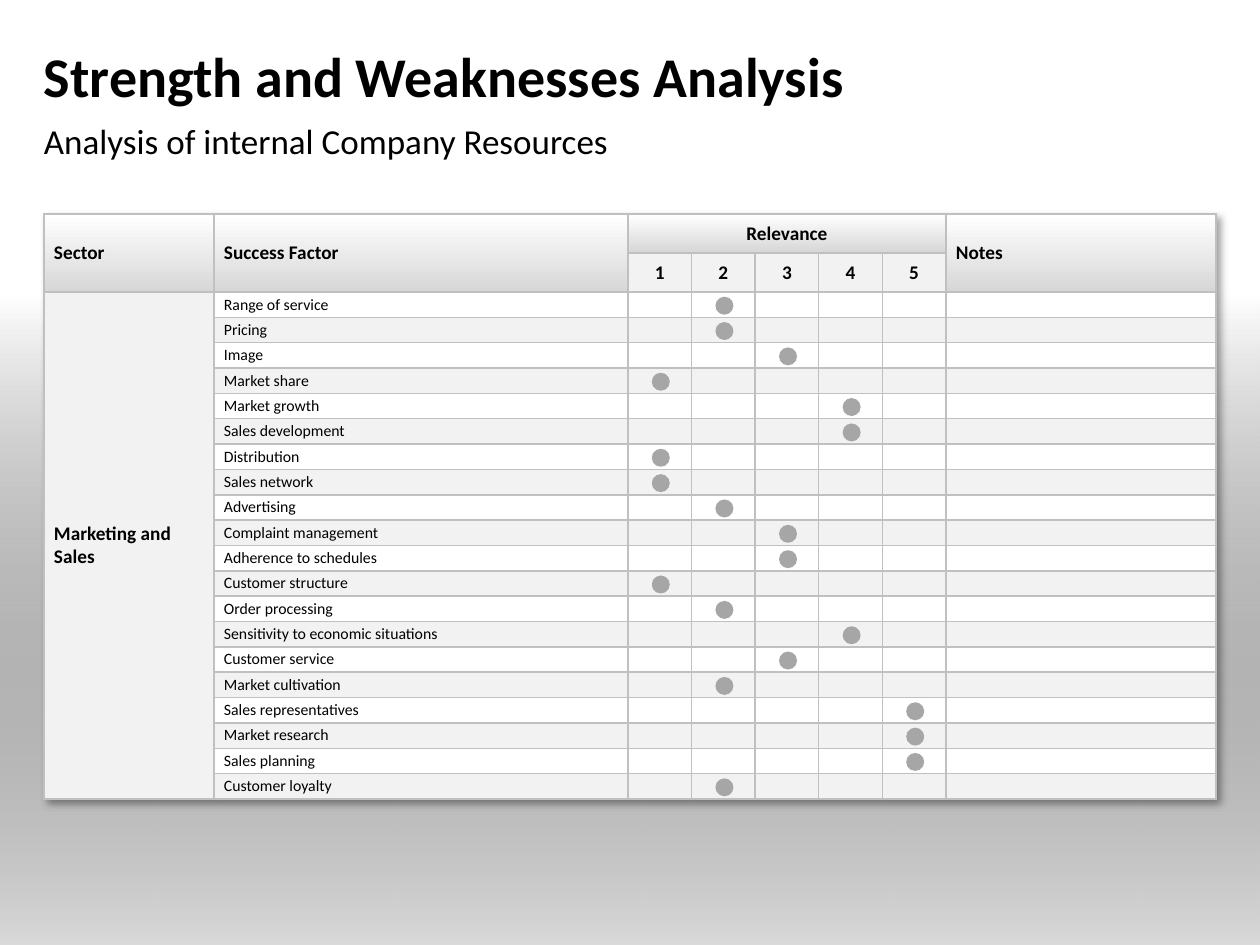
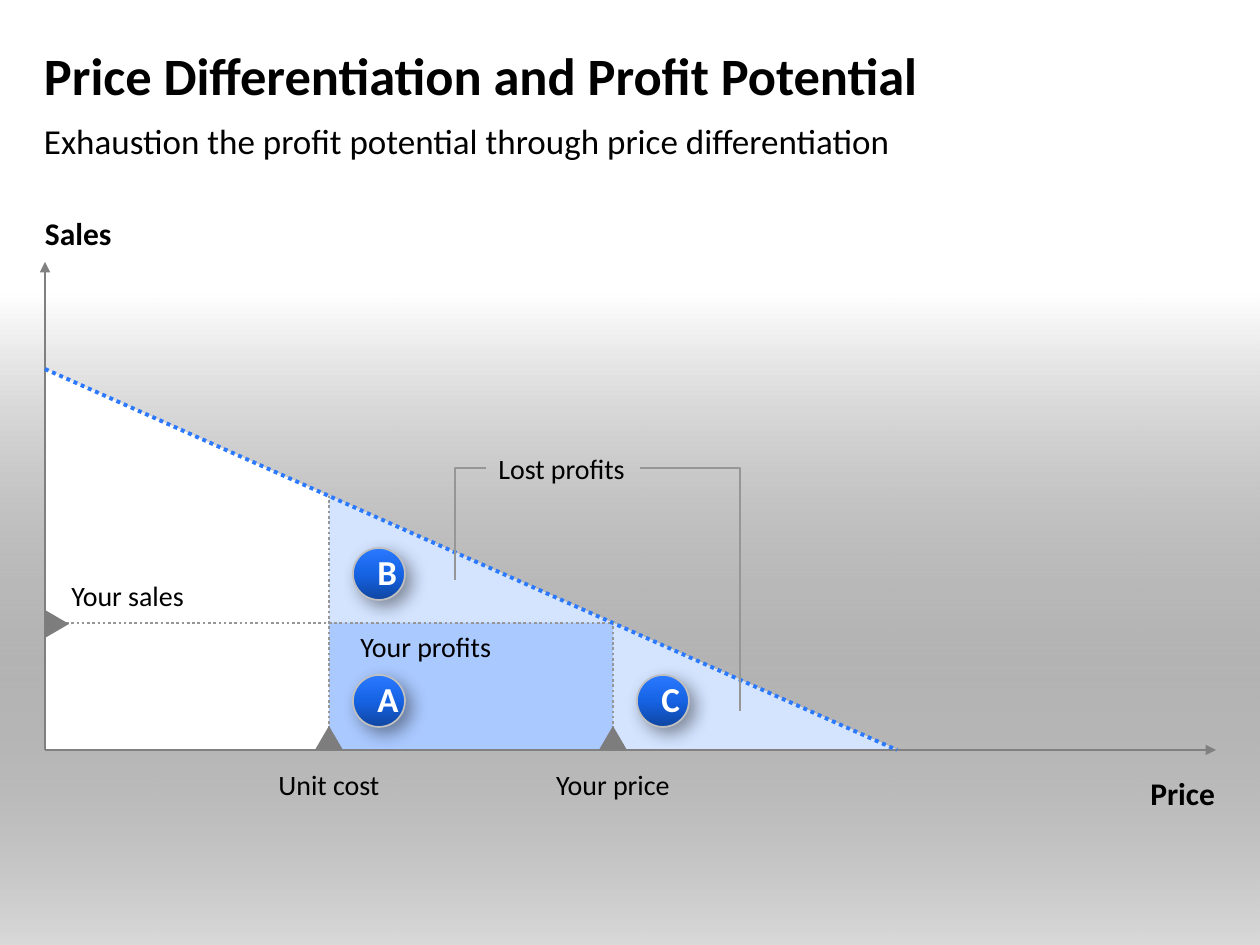
from dataclasses import dataclass

from lxml.etree import SubElement
from pptx import Presentation
from pptx.dml.color import RGBColor
from pptx.enum.dml import MSO_LINE
from pptx.enum.shapes import MSO_CONNECTOR as Link, MSO_SHAPE as Kind
from pptx.enum.text import MSO_ANCHOR as Anchor, PP_ALIGN as Align
from pptx.oxml.ns import qn
from pptx.util import Emu, Pt


@dataclass(frozen=True)
class Theme:
    font: str = "Calibri"
    ink: str = "000000"
    white: str = "FFFFFF"
    pale: str = "F2F2F2"
    shade: str = "D7D7D7"
    edge: str = "C0C0C0"
    dot: str = "A6A6A6"
    axis: str = "808080"
    guide: str = "969696"
    mark: str = "7D7D7D"
    blue: str = "2A79FF"
    royal: str = "1663E4"
    navy: str = "0F45A1"
    light: str = "D4E4FF"
    mid: str = "AAC9FF"
    sub: int = 20
    name: int = 18
    label: int = 16
    head: int = 11
    body: int = 9


T = Theme()
FACTORS = [
    ("Range of service", 2), ("Pricing", 2), ("Image", 3),
    ("Market share", 1), ("Market growth", 4), ("Sales development", 4),
    ("Distribution", 1), ("Sales network", 1), ("Advertising", 2),
    ("Complaint management", 3), ("Adherence to schedules", 3),
    ("Customer structure", 1), ("Order processing", 2),
    ("Sensitivity to economic situations", 4), ("Customer service", 3),
    ("Market cultivation", 2), ("Sales representatives", 5),
    ("Market research", 5), ("Sales planning", 5), ("Customer loyalty", 2),
]


def px(n):
    return Emu(round(n * 914400 / 126))


def rgb(color):
    return RGBColor.from_string(color)


# Shared helpers
def blend(item, stops, angle):
    """Gradient fill of a shape or cell; stops are (percent, colour, alpha)."""
    item.fill.gradient()
    item.fill.gradient_angle = angle
    node = item._tc if hasattr(item, "_tc") else item._element
    ramp = next(node.iter(qn("a:gsLst")))
    ramp.clear()
    for pos, color, alpha in stops:
        stop = SubElement(ramp, qn("a:gs"), pos=str(pos * 1000))
        tint = SubElement(stop, qn("a:srgbClr"), val=color)
        if alpha < 100:
            SubElement(tint, qn("a:alpha"), val=str(alpha * 1000))


def cast(effects, blur, dist):
    drop = SubElement(effects, qn("a:outerShdw"), blurRad=str(Pt(blur)),
                      dist=str(Pt(dist)), dir="2700000", algn="tl",
                      rotWithShape="0")
    tint = SubElement(drop, qn("a:srgbClr"), val=T.ink)
    SubElement(tint, qn("a:alpha"), val="40000")


def style(para, size, bold=False, color=T.ink, align=Align.LEFT):
    para.alignment = align
    for run in para.runs:
        font = run.font
        font.name, font.size, font.bold = T.font, Pt(size), bold
        font.color.rgb = rgb(color)


def write(slide, box, text, size, bold=False, align=Align.LEFT,
          anchor=Anchor.TOP, wrap=True):
    item = slide.shapes.add_textbox(*map(px, box))
    frame = item.text_frame
    frame.word_wrap, frame.vertical_anchor = wrap, anchor
    if wrap:
        frame.margin_left = frame.margin_right = 0
        frame.margin_top = frame.margin_bottom = 0
    frame.text = text
    style(frame.paragraphs[0], size, bold, align=align)
    return item


def draw(slide, kind, box, color=None):
    item = slide.shapes.add_shape(kind, *map(px, box))
    item.shadow.inherit = False
    item.line.fill.background()
    if color:
        item.fill.solid()
        item.fill.fore_color.rgb = rgb(color)
    return item


def rule(slide, start, end, color, width=1.0, dots=False, arrow=False,
         kind=Link.STRAIGHT):
    item = slide.shapes.add_connector(kind, *map(px, start + end))
    item.line.color.rgb = rgb(color)
    item.line.width = Pt(width)
    if dots:
        item.line.dash_style = MSO_LINE.ROUND_DOT
    if arrow:
        SubElement(item.line._get_or_add_ln(), qn("a:tailEnd"),
                   type="triangle")
    SubElement(item._element.spPr, qn("a:effectLst"))
    return item


# Backdrop, title and subtitle of every slide
def base(deck, title, size, sub):
    slide = deck.slides.add_slide(deck.slide_layouts[6])
    back = draw(slide, Kind.RECTANGLE, (0, 294, 1260, 651))
    blend(back, [(0, T.ink, 15), (100, T.white, 100)], 90)
    write(slide, (44, 33, 1171, 84), title, size, True, anchor=Anchor.MIDDLE)
    write(slide, (44, 119, 1171, 47), sub, T.sub)
    return slide


# Table
def frame_cell(cell):
    props = cell._tc.get_or_add_tcPr()
    for i, side in enumerate(("lnL", "lnR", "lnT", "lnB")):
        line = SubElement(props, qn("a:" + side), w=str(Pt(1)))
        fill = SubElement(line, qn("a:solidFill"))
        SubElement(fill, qn("a:srgbClr"), val=T.edge)
        props.insert(i, line)


def fill_cell(cell, text, color=None, size=T.head, bold=True,
              align=Align.LEFT):
    cell.margin_left = cell.margin_right = px(10)
    cell.margin_top = cell.margin_bottom = 0
    cell.vertical_anchor = Anchor.MIDDLE
    para = cell.text_frame.paragraphs[0]
    para.text = text
    style(para, size, bold, align=align)
    if not text:
        SubElement(para._p, qn("a:endParaRPr"), sz=str(size * 100))
    if color:
        cell.fill.solid()
        cell.fill.fore_color.rgb = rgb(color)
    else:
        blend(cell, [(0, T.white, 100), (100, T.shade, 100)], 270)
    frame_cell(cell)


def rating(slide, box):
    left, top, wide, high = box
    sector, factor, scale, head = 170, 414, 318, 39
    step, row = scale / 5, (high - 2 * head) / len(FACTORS)
    notes = wide - sector - factor - scale
    table = slide.shapes.add_table(len(FACTORS) + 2, 8,
                                   *map(px, box)).table
    table.first_row = table.horz_banding = False
    for col, size in zip(table.columns,
                         [sector, factor] + [step] * 5 + [notes]):
        col.width = px(size)
    for line, size in zip(table.rows, [head] * 2 + [row] * len(FACTORS)):
        line.height = px(size)
    props = table._tbl.tblPr
    effects = SubElement(props, qn("a:effectLst"))
    props.insert(0, effects)
    cast(effects, 4, 3)

    # Header rows
    names = ["Sector", "Success Factor", "Relevance", "", "", "", "", "Notes"]
    for c, name in enumerate(names):
        scored = 2 <= c <= 6
        fill_cell(table.cell(0, c), name,
                  align=Align.CENTER if scored else Align.LEFT)
        if scored:
            fill_cell(table.cell(1, c), str(c - 1), T.pale,
                      align=Align.CENTER)
        else:
            fill_cell(table.cell(1, c), "")

    # Factor rows
    for r, (name, _) in enumerate(FACTORS, 2):
        first = "Marketing and Sales" if r == 2 else ""
        fill_cell(table.cell(r, 0), first, T.pale,
                  T.head if first else T.body)
        for c in range(1, 8):
            fill_cell(table.cell(r, c), name if c == 1 else "",
                      T.pale if r % 2 else T.white, T.body, False)
    for c in (0, 1, 7):
        table.cell(0, c).merge(table.cell(1, c))
    table.cell(0, 2).merge(table.cell(0, 6))
    table.cell(2, 0).merge(table.cell(len(FACTORS) + 1, 0))

    # Score dots
    size = 18
    for r, (_, score) in enumerate(FACTORS):
        x = left + sector + factor + (score - 0.5) * step + 1
        y = top + 2 * head + (r + 0.5) * row + 1
        draw(slide, Kind.OVAL, (x - size / 2, y - size / 2, size, size),
             T.dot)


# Price diagram
def ball(slide, x, y, text):
    item = draw(slide, Kind.OVAL, (x, y, 52, 52))
    blend(item, [(0, T.navy, 100), (50, T.royal, 100), (100, T.blue, 100)],
          90)
    item.line.color.rgb = rgb(T.edge)
    item.line.width = Pt(1)
    cast(item._element.spPr.find(qn("a:effectLst")), 10, 5)
    frame = item.text_frame
    frame.margin_left = frame.margin_right = px(20)
    frame.margin_top, frame.margin_bottom = 0, px(5)
    frame.vertical_anchor = Anchor.MIDDLE
    frame.text = text
    frame.paragraphs[0].space_after = Pt(6)
    style(frame.paragraphs[0], T.sub, True, T.white, Align.CENTER)


def demand(slide, box):
    left, top, wide, high = box
    base_y = top + high
    dx, dy = 284, 127
    xs = [left + i * dx for i in range(4)]
    ys = [base_y - (3 - i) * dy for i in range(4)]

    # Areas under the demand line
    wedge = Kind.RIGHT_TRIANGLE
    draw(slide, wedge, (left, ys[0], 3 * dx, 3 * dy), T.white)
    for i in (1, 2):
        draw(slide, wedge, (xs[i], ys[i], dx, dy), T.light)
    draw(slide, Kind.RECTANGLE, (xs[1], ys[2], dx, dy), T.mid)

    # Axes
    zero = (left, base_y)
    for end in ((left + wide, base_y), (left, top)):
        rule(slide, zero, end, T.axis, arrow=True)
    write(slide, (left + wide - 233, base_y + 24, 232, 38), "Price", T.name,
          True, Align.RIGHT)
    write(slide, (left, top - 48, 232, 38), "Sales", T.name, True)

    # Dotted guides and demand line
    for i in (1, 2):
        rule(slide, (xs[i], base_y), (xs[i], ys[i]), T.guide, 1.5, True)
    rule(slide, (left, ys[0]), (xs[3], base_y), T.blue, 2.25, True)
    rule(slide, (left, ys[2]), (xs[2], ys[2]), T.guide, 1.5, True)

    # Lettered balls
    for text, i, j in (("B", 1, 1), ("A", 1, 2), ("C", 2, 2)):
        ball(slide, xs[i] + 24, ys[j] + 52, text)

    # Labels
    def label(x, y, w, text, align=Align.LEFT):
        return write(slide, (x, y, w, 46), text, T.label, align=align,
                     wrap=False)

    label(left + 14, ys[2] - 51, 140, "Your sales")
    label(xs[1] + 19, ys[2], 157, "Your profits")
    for x, text in ((xs[1], "Unit cost"), (xs[2], "Your price")):
        label(x - 70, base_y + 11, 140, text, Align.CENTER)
    lost = label(xs[1] + 157, ys[1] - 51, 154, "Lost profits")

    # Brackets from the lost profits to areas B and C
    y = ys[1] - 28
    for side, x, end in ((1, xs[1] + 157, (xs[1] + 126, ys[1] + 84)),
                         (3, xs[1] + 311, (xs[2] + 127, ys[2] + 88))):
        bend = rule(slide, (x, y), end, T.guide, kind=Link.ELBOW)
        bend.begin_connect(lost, side)
        shape = bend._element.spPr.find(qn("a:prstGeom"))
        shape.set("prst", "bentConnector2")

    # Axis markers
    for x in xs[1:3]:
        draw(slide, Kind.ISOSCELES_TRIANGLE, (x - 14, base_y - 24, 28, 24),
             T.mark)
    flag = draw(slide, Kind.ISOSCELES_TRIANGLE,
                (left - 2, ys[2] - 11, 28, 24), T.mark)
    flag.rotation = 90


def main():
    deck = Presentation()
    deck.slide_width, deck.slide_height = px(1260), px(945)
    slide = base(deck, "Strength and Weaknesses Analysis", 32,
                 "Analysis of internal Company Resources")
    rating(slide, (44, 214, 1172, 585))
    slide = base(deck, "Price Differentiation and Profit Potential", 30,
                 "Exhaustion the profit potential through price "
                 "differentiation")
    demand(slide, (45, 262, 1171, 488))
    deck.save("out.pptx")


if __name__ == "__main__":
    main()
